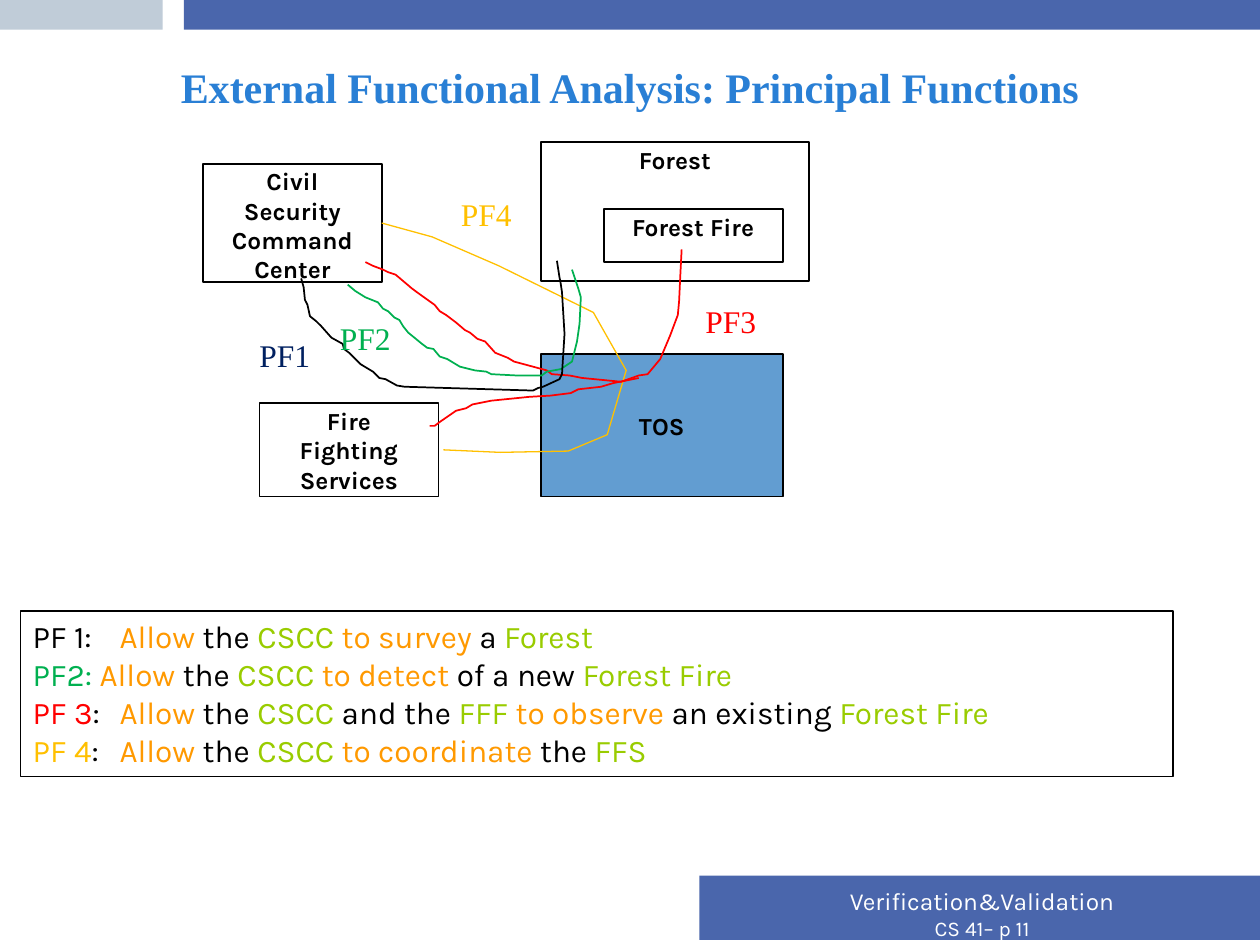
from dataclasses import dataclass

from pptx import Presentation
from pptx.dml.color import RGBColor
from pptx.enum.shapes import MSO_SHAPE
from pptx.enum.text import MSO_ANCHOR, MSO_AUTO_SIZE, PP_ALIGN
from pptx.util import Cm, Pt


@dataclass(frozen=True)
class Theme:
    sans: str = "Karla"
    serif: str = "Times New Roman"
    band: str = "4A66AC"
    pale_band: str = "C0CCD8"
    heading: str = "297FD5"
    system: str = "629DD1"
    white: str = "FFFFFF"
    black: str = "000000"
    navy: str = "002060"
    green: str = "00B050"
    red: str = "FF0000"
    amber: str = "FFC000"
    action: str = "FF9900"
    actor: str = "99CC00"
    title_size: int = 24
    body_size: int = 18
    box_size: int = 14
    page_size: int = 12


THEME = Theme()
GRID = Cm(0.0254)  # one unit of the hand-drawn paths
BLOCK_MARGIN = Cm(0.05)
HANGING_INDENT = Cm(1.75)

# Text, place in cm, fill, anchor
BLOCKS = [
    (["TOS"], (10.9, 7.14, 4.88, 2.87), THEME.system, MSO_ANCHOR.MIDDLE),
    (["Civil", "Security", "Command", "Center"], (4.09, 3.3, 3.61, 2.39), None, MSO_ANCHOR.TOP),
    (["Fire", "Fighting", "Services"], (5.23, 8.13, 3.61, 1.88), None, MSO_ANCHOR.TOP),
    (["Forest"], (10.9, 2.87, 5.41, 2.79), None, MSO_ANCHOR.TOP),
    (["Forest Fire"], (12.17, 4.22, 3.61, 1.07), None, MSO_ANCHOR.TOP),
]

# Colour, width in points, points on the grid
FLOWS = [
    (THEME.amber, 0.75, [
        (303, 177), (343, 188), (396, 211), (471, 248), (497, 294), (482, 345), (451, 358),
        (397, 359), (352, 357)]),
    (THEME.red, 1, [
        (541, 198), (540, 218), (539, 239), (538, 250), (532, 266), (524, 285), (514, 297),
        (507, 298), (493, 303), (462, 300), (452, 298), (438, 297), (434, 294), (423, 291),
        (408, 287), (403, 284), (393, 280), (385, 271), (379, 269), (373, 264), (369, 262),
        (362, 256), (354, 250), (349, 247), (345, 242), (331, 232), (327, 229), (314, 218),
        (308, 216), (304, 214), (296, 211), (290, 208)]),
    (THEME.green, 1, [
        (454, 214), (459, 229), (461, 236), (460, 257), (458, 271), (454, 287), (445, 293),
        (434, 295), (430, 298), (410, 298), (390, 297), (386, 295), (377, 294), (365, 291),
        (355, 285), (349, 283), (344, 277), (339, 276), (335, 273), (324, 264), (320, 259),
        (317, 254), (313, 252), (308, 247), (304, 245), (300, 240), (290, 236), (282, 231),
        (276, 226)]),
    (THEME.red, 1, [
        (507, 300), (487, 304), (477, 307), (459, 309), (453, 312), (437, 314), (420, 315),
        (410, 316), (390, 318), (375, 321), (370, 324), (362, 326), (349, 335), (345, 338),
        (341, 338)]),
    (THEME.black, 1, [
        (442, 207), (444, 220), (445, 225), (446, 232), (448, 265), (446, 297), (444, 301),
        (431, 307), (427, 308), (423, 310), (321, 307), (315, 306), (306, 301), (301, 300),
        (296, 295), (286, 289), (277, 280), (273, 277), (272, 273), (263, 268), (255, 259),
        (251, 255), (246, 251), (244, 242), (242, 238), (241, 228), (239, 221)]),
]

FLOW_LABELS = [
    ("PF4", 9.04, 3.81, THEME.amber),
    ("PF3", 13.97, 5.97, THEME.red),
    ("PF1", 4.98, 6.65, THEME.navy),
    ("PF2", 6.6, 6.3, THEME.green),
]

# Every definition is: number, shared opening, the rest
OPENING = [("Allow", THEME.action), (" the ", THEME.black), ("CSCC ", THEME.actor)]
DEFINITIONS = [
    ([("PF 1:\t", THEME.black)],
     [("to survey ", THEME.action), ("a", THEME.black), (" Forest", THEME.actor)]),
    ([("PF2: ", THEME.green)],
     [("to detect ", THEME.action), ("of a new", THEME.black), (" Forest Fire", THEME.actor)]),
    ([("PF 3", THEME.red), (":\t", THEME.black)],
     [("and the ", THEME.black), ("FFF ", THEME.actor), ("to observe", THEME.action),
      (" an existing ", THEME.black), ("Forest Fire", THEME.actor)]),
    ([("PF 4", THEME.amber), (":\t", THEME.black)],
     [("to coordinate", THEME.action), (" the ", THEME.black), ("FFS", THEME.actor)]),
]


def set_all(target, formats):
    for attribute, value in formats.items():
        setattr(target, attribute, value)


def add_run(paragraph, text, color, size, name=THEME.sans, bold=False):
    run = paragraph.add_run()
    run.text = text
    set_all(run.font, {"name": name, "size": Pt(size), "bold": bold})
    run.font.color.rgb = RGBColor.from_string(color)


def next_paragraph(frame, index):
    return frame.add_paragraph() if index else frame.paragraphs[0]


def paint(shape, fill=None, line=None, width=1):
    shape.shadow.inherit = False
    if fill:
        shape.fill.solid()
        shape.fill.fore_color.rgb = RGBColor.from_string(fill)
    else:
        shape.fill.background()
    if line:
        shape.line.color.rgb = RGBColor.from_string(line)
        shape.line.width = Pt(width)
    else:
        shape.line.fill.background()


def add_rectangle(slide, place, **look):
    rectangle = slide.shapes.add_shape(MSO_SHAPE.RECTANGLE, *map(Cm, place))
    paint(rectangle, **look)
    return rectangle


def add_block(slide, lines, place, fill, anchor):
    frame = add_rectangle(slide, place, fill=fill, line=THEME.black).text_frame
    margins = {f"margin_{side}": BLOCK_MARGIN for side in ("left", "top", "right", "bottom")}
    set_all(frame, {"word_wrap": True, "vertical_anchor": anchor, **margins})
    for index, line in enumerate(lines):
        paragraph = next_paragraph(frame, index)
        paragraph.alignment = PP_ALIGN.CENTER
        add_run(paragraph, line, THEME.black, THEME.box_size, bold=True)


def add_flow(slide, color, width, points):
    builder = slide.shapes.build_freeform(*points[0], scale=GRID)
    builder.add_line_segments(points[1:], close=False)
    paint(builder.convert_to_shape(), line=color, width=width)


def add_flow_label(slide, text, left, top, color):
    frame = slide.shapes.add_textbox(Cm(left), Cm(top), Cm(1.55), Cm(1.02)).text_frame
    set_all(frame, {"word_wrap": False, "auto_size": MSO_AUTO_SIZE.SHAPE_TO_FIT_TEXT})
    add_run(frame.paragraphs[0], text, color, THEME.body_size, THEME.serif)


def add_definitions(slide):
    box = add_rectangle(slide, (0.41, 12.32, 23.24, 3.33), line=THEME.black, width=0.75)
    frame = box.text_frame
    set_all(frame, {"word_wrap": True, "vertical_anchor": MSO_ANCHOR.TOP,
                    "auto_size": MSO_AUTO_SIZE.SHAPE_TO_FIT_TEXT})
    for index, (number, rest) in enumerate(DEFINITIONS):
        paragraph = next_paragraph(frame, index)
        paragraph.alignment = PP_ALIGN.LEFT
        properties = paragraph._p.get_or_add_pPr()
        properties.set("marL", str(HANGING_INDENT))
        properties.set("indent", str(-HANGING_INDENT))
        for text, color in number + OPENING + rest:
            add_run(paragraph, text, color, THEME.body_size)


def add_bands_and_footer(slide):
    add_rectangle(slide, (3.71, 0, 21.69, 0.6), fill=THEME.band)
    add_rectangle(slide, (0, 0, 3.28, 0.6), fill=THEME.pale_band)
    add_rectangle(slide, (14.1, 17.65, 11.3, 1.3), fill=THEME.band)
    frame = slide.shapes.add_textbox(Cm(14.1), Cm(17.73), Cm(11.4), Cm(1.37)).text_frame
    set_all(frame, {"word_wrap": True, "auto_size": MSO_AUTO_SIZE.SHAPE_TO_FIT_TEXT})
    lines = [("Verification&Validation", THEME.box_size), ("CS 41– p 11", THEME.page_size)]
    for index, (text, size) in enumerate(lines):
        paragraph = next_paragraph(frame, index)
        paragraph.alignment = PP_ALIGN.CENTER
        add_run(paragraph, text, THEME.white, size)


def format_title(slide, text):
    title = slide.shapes.title
    set_all(title, {"left": Cm(1.27), "top": Cm(0.76), "width": Cm(22.86), "height": Cm(1.96)})
    set_all(title.text_frame, {"word_wrap": True, "vertical_anchor": MSO_ANCHOR.MIDDLE,
                               "auto_size": MSO_AUTO_SIZE.NONE})
    paragraph = title.text_frame.paragraphs[0]
    paragraph.alignment = PP_ALIGN.CENTER
    add_run(paragraph, text, THEME.heading, THEME.title_size, THEME.serif, bold=True)


def main():
    deck = Presentation()
    set_all(deck, {"slide_width": Cm(25.4), "slide_height": Cm(19.05)})
    slide = deck.slides.add_slide(deck.slide_layouts[5])

    # Frame of the slide
    add_bands_and_footer(slide)
    format_title(slide, "External Functional Analysis: Principal Functions")

    # Diagram
    for block in BLOCKS:
        add_block(slide, *block)
    for flow in FLOWS:
        add_flow(slide, *flow)
    for label in FLOW_LABELS:
        add_flow_label(slide, *label)

    # Principal functions in words
    add_definitions(slide)
    deck.save("out.pptx")


if __name__ == "__main__":
    main()
